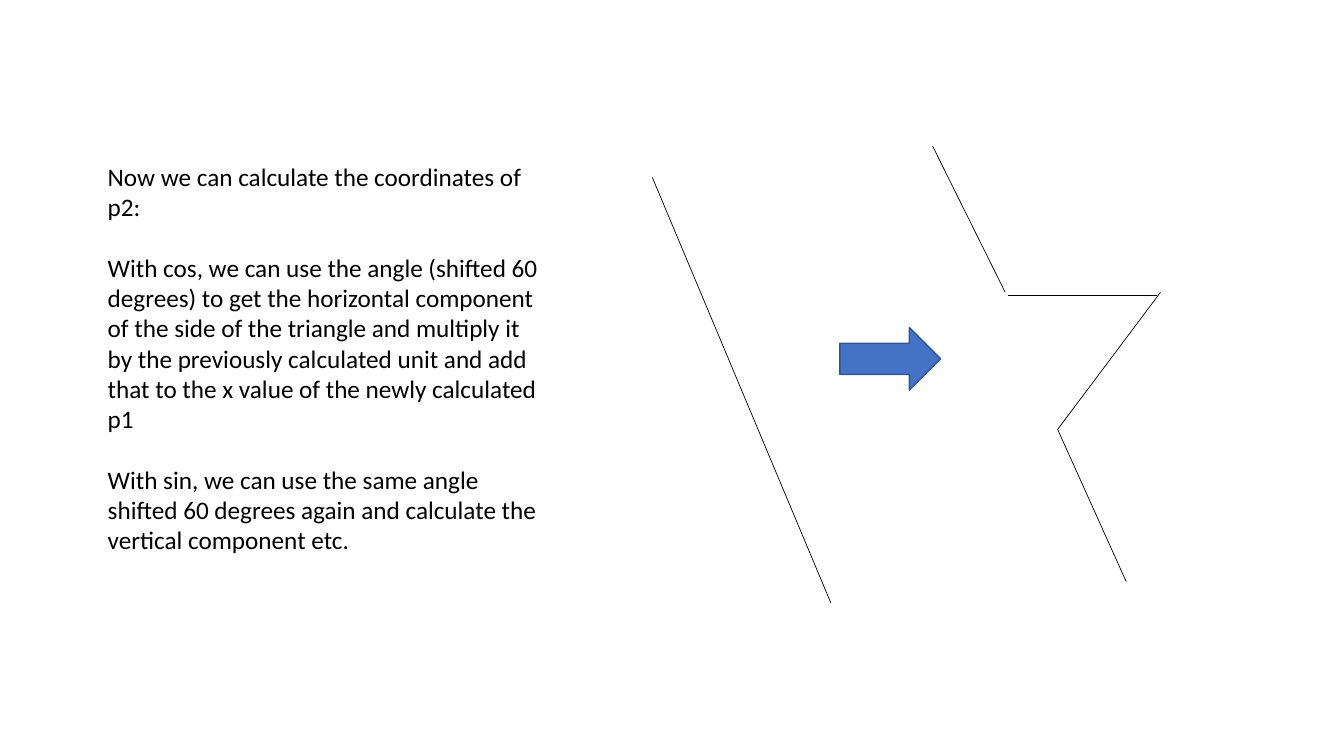
from lxml import etree
from pptx import Presentation
from pptx.dml.color import RGBColor
from pptx.enum.shapes import MSO_CONNECTOR, MSO_SHAPE
from pptx.oxml.ns import qn
from pptx.util import Inches, Pt

STRAIGHT = MSO_CONNECTOR.STRAIGHT
RIGHT_ARROW = MSO_SHAPE.RIGHT_ARROW
BLANK_LAYOUT = 6

EXPLANATION = [
    "Now we can calculate the coordinates of p2:",
    "With cos, we can use the angle (shifted 60 degrees) to get the horizontal "
    "component of the side of the triangle and multiply it by the previously "
    "calculated unit and add that to the x value of the newly calculated p1",
    "With sin, we can use the same angle shifted 60 degrees again and calculate "
    "the vertical component etc.",
]

# Segment ends, relative to the top left of the diagram
ORIGINAL_LINE = (0, 0.31, 1.77, 4.53)
KOCH_SEGMENTS = [
    (2.78, 0, 3.5, 1.45),
    (3.53, 1.48, 5.01, 1.48),
    (5.04, 1.45, 4.02, 2.81),
    (4.02, 2.81, 4.7, 4.32),
]


def colour(hex_code):
    return RGBColor.from_string(hex_code)


def add_explanation(slide, left, top, width, height):
    box = slide.shapes.add_textbox(
        Inches(left), Inches(top), Inches(width), Inches(height))
    frame = box.text_frame
    frame.word_wrap = True
    frame.text = "\n".join(EXPLANATION)
    for paragraph in frame.paragraphs:
        paragraph.font.name = "Calibri"
        paragraph.font.size = Pt(18)
        paragraph.font.color.rgb = colour("000000")
    # One line of space between paragraphs
    for paragraph in frame.paragraphs[:-1]:
        paragraph.space_after = Pt(21.8)


def add_segment(slide, x1, y1, x2, y2):
    segment = slide.shapes.add_connector(
        STRAIGHT, Inches(x1), Inches(y1), Inches(x2), Inches(y2))
    segment.line.color.rgb = colour("000000")
    segment.line.width = Pt(0.5)
    properties = segment._element.find(qn("p:spPr"))
    etree.SubElement(properties, qn("a:effectLst"))


def add_koch_diagram(slide, left, top):
    # Line before and after the split
    for x1, y1, x2, y2 in [ORIGINAL_LINE] + KOCH_SEGMENTS:
        add_segment(slide, left + x1, top + y1, left + x2, top + y2)

    # Arrow from the line to its split form
    arrow = slide.shapes.add_shape(
        RIGHT_ARROW, Inches(left + 1.86), Inches(top + 1.8),
        Inches(1), Inches(0.62))
    arrow.shadow.inherit = False
    arrow.fill.solid()
    arrow.fill.fore_color.rgb = colour("4472C4")
    arrow.line.color.rgb = colour("325491")
    arrow.line.width = Pt(1)


presentation = Presentation()
presentation.slide_width = Inches(13.33)
presentation.slide_height = Inches(7.5)
koch_slide = presentation.slides.add_slide(
    presentation.slide_layouts[BLANK_LAYOUT])

add_explanation(koch_slide, 0.97, 1.55, 4.49, 4.04)
add_koch_diagram(koch_slide, 6.47, 1.45)

presentation.save("out.pptx")
